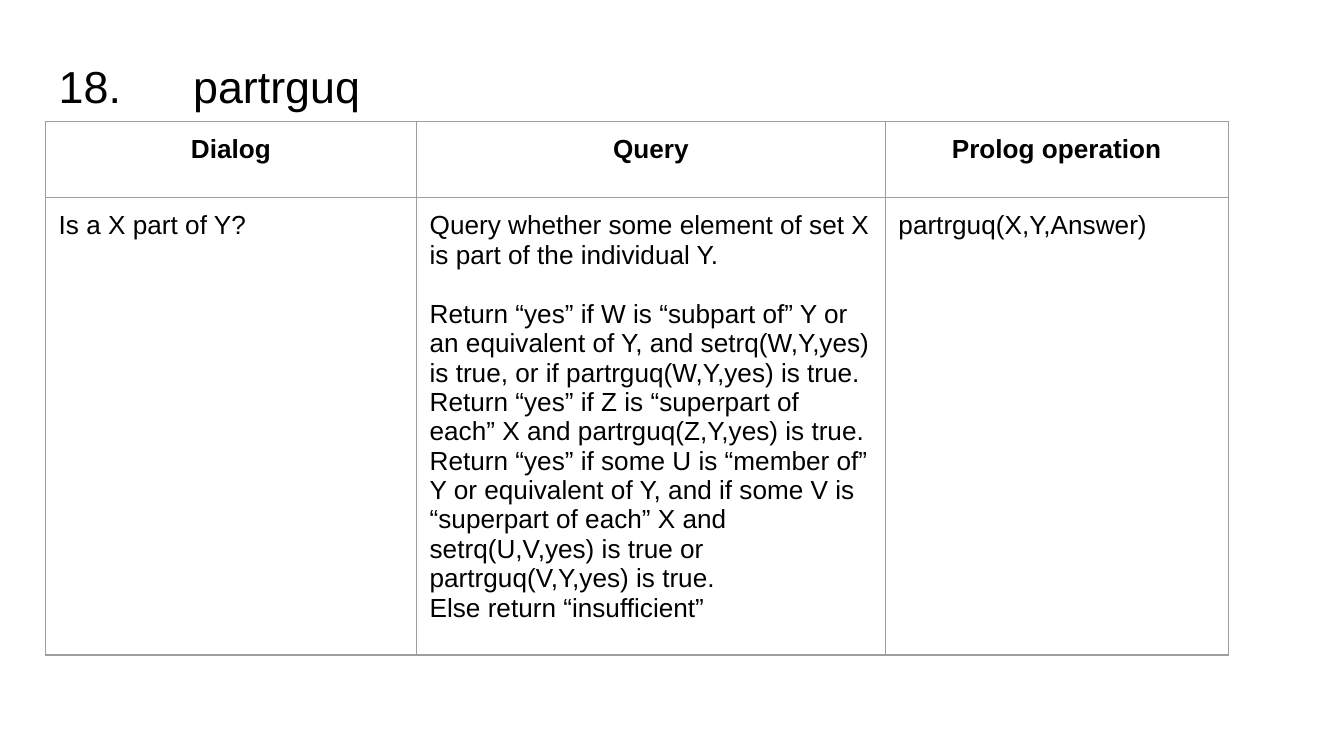
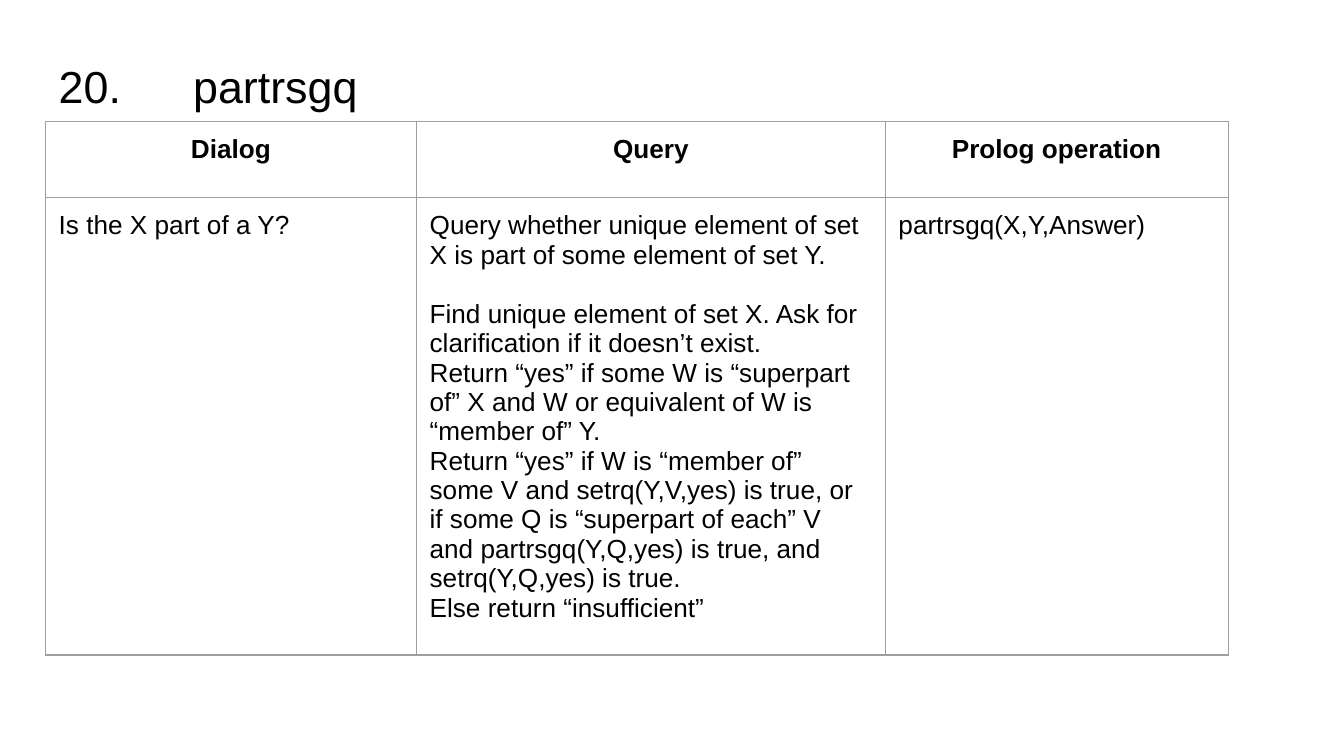
from lxml.etree import SubElement as Sub
from pptx import Presentation
from pptx.dml.color import RGBColor
from pptx.enum.text import MSO_ANCHOR as Anchor, MSO_AUTO_SIZE as Fit, PP_ALIGN as Align
from pptx.oxml.ns import qn
from pptx.util import Cm, Pt

FONT, INK, RULE = "Arial", "000000", "9E9E9E"
HEADS = ["Dialog", "Query", "Prolog operation"]
PAGES = [
    {
        "title": "18.\tpartrguq",
        "dialog": "Is a X part of Y?",
        "query": [
            "Query whether some element of set X is part of the individual Y.",
            "Return “yes” if W is “subpart of” Y or an equivalent of Y, and "
            "setrq(W,Y,yes) is true, or if partrguq(W,Y,yes) is true.",
            "Return “yes” if Z is “superpart of each” X and partrguq(Z,Y,yes) is true.",
            "Return “yes” if some U is “member of” Y or equivalent of Y, and if some V is "
            "“superpart of each” X and setrq(U,V,yes) is true or partrguq(V,Y,yes) is true.",
            "Else return “insufficient”",
        ],
        "call": "partrguq(X,Y,Answer)",
    },
    {
        "title": "20.\tpartrsgq",
        "dialog": "Is the X part of a Y?",
        "query": [
            "Query whether unique element of set X is part of some element of set Y.",
            "Find unique element of set X. Ask for clarification if it doesn’t exist.",
            "Return “yes” if some W is “superpart of” X and W or equivalent of W is "
            "“member of” Y.",
            "Return “yes” if W is “member of” some V and setrq(Y,V,yes) is true, or if some "
            "Q is “superpart of each” V and partrsgq(Y,Q,yes) is true, and setrq(Y,Q,yes) is true.",
            "Else return “insufficient”",
        ],
        "call": "partrsgq(X,Y,Answer)",
    },
]

LEFT, TOP, PAD = Cm(0.86), Cm(2.29), Cm(0.25)
COLS = [Cm(7.01), Cm(8.86), Cm(6.48)]
ROWS = [Cm(1.45)] + [Cm(2.88)] * 3


def color(code):
    return RGBColor.from_string(code)


def write(para, text, size, bold=False):
    run = para.add_run()
    run.text = text
    font = run.font
    font.name, font.size, font.bold = FONT, Pt(size), bold
    font.color.rgb = color(INK)


def pad(box):
    box.margin_left = box.margin_right = box.margin_top = box.margin_bottom = PAD


def add_title(slide, text):
    shape = slide.shapes.title
    shape.left, shape.top, shape.width, shape.height = LEFT, Cm(0.81), Cm(23.67), Cm(1.6)
    frame = shape.text_frame
    pad(frame)
    frame.word_wrap, frame.auto_size = True, Fit.NONE
    frame.vertical_anchor = Anchor.MIDDLE
    para = frame.paragraphs[0]
    para.alignment = Align.LEFT
    tabs = Sub(para._p.get_or_add_pPr(), qn("a:tabLst"))
    Sub(tabs, qn("a:tab"), pos=str(Cm(2.54)), algn="l")
    write(para, text, 24)


def style(cell):
    pad(cell)
    cell.vertical_anchor = Anchor.TOP
    props = cell._tc.get_or_add_tcPr()
    for side in ("lnL", "lnR", "lnT", "lnB"):
        line = Sub(props, qn("a:" + side), w=str(Pt(0.75)))
        fill = Sub(line, qn("a:solidFill"))
        Sub(fill, qn("a:srgbClr"), val=RULE)
    cell.fill.background()


def fill_cell(cell, texts, head=False):
    frame = cell.text_frame
    for i, text in enumerate(texts):
        para = frame.add_paragraph() if i else frame.paragraphs[0]
        para.alignment = Align.CENTER if head else Align.LEFT
        if i == 1:
            para.space_before = Pt(16)
        write(para, text, 14, head)


def add_grid(slide, page):
    grid = slide.shapes.add_table(
        len(ROWS), len(COLS), LEFT, TOP, sum(COLS), sum(ROWS)).table
    grid.first_row = grid.horz_banding = False
    for row, high in zip(grid.rows, ROWS):
        row.height = high
    for col, wide in zip(grid.columns, COLS):
        col.width = wide
    for cell in grid.iter_cells():
        style(cell)
    body = [[page["dialog"]], page["query"], [page["call"]]]
    for c, (head, texts) in enumerate(zip(HEADS, body)):
        fill_cell(grid.cell(0, c), [head], True)
        grid.cell(1, c).merge(grid.cell(len(ROWS) - 1, c))
        fill_cell(grid.cell(1, c), texts)


def main():
    deck = Presentation()
    deck.slide_width, deck.slide_height = Cm(25.4), Cm(14.29)
    for page in PAGES:
        slide = deck.slides.add_slide(deck.slide_layouts[5])
        add_grid(slide, page)
        add_title(slide, page["title"])
    deck.save("out.pptx")


if __name__ == "__main__":
    main()
